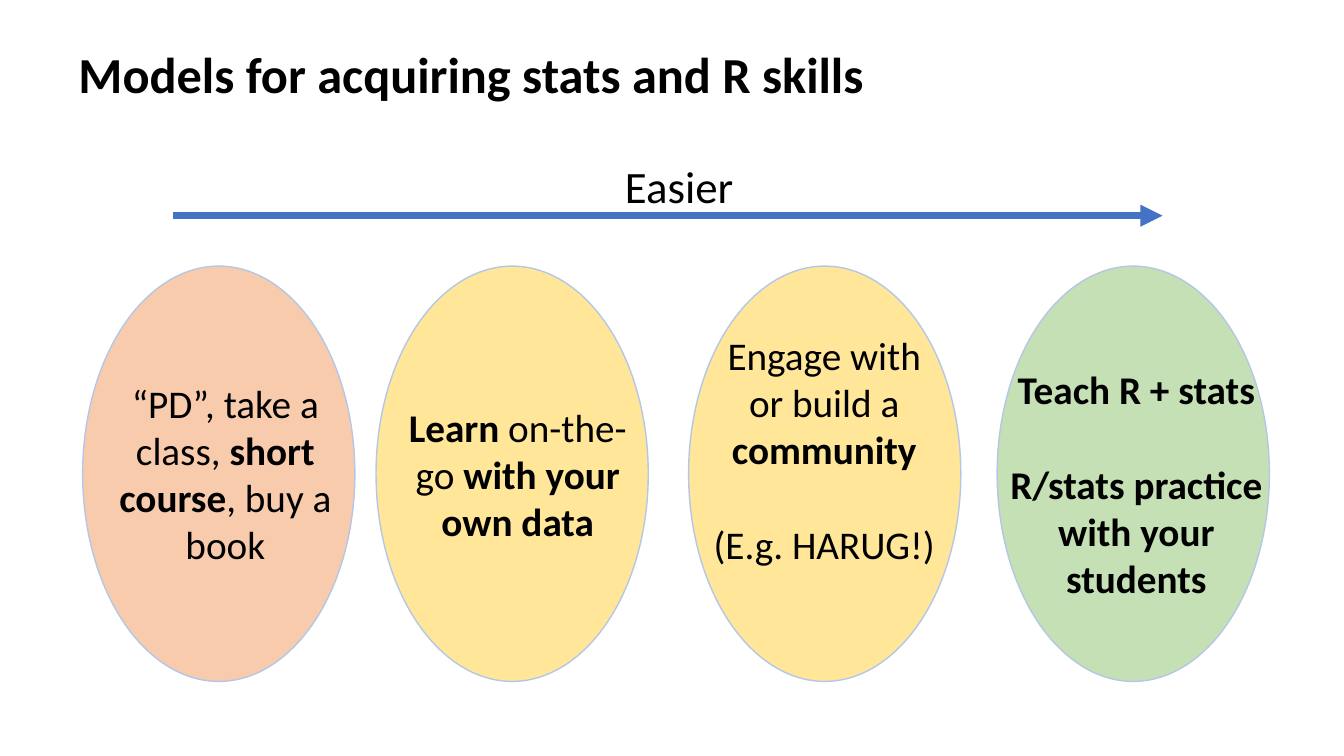
from lxml import etree
from pptx import Presentation
from pptx.dml.color import RGBColor
from pptx.enum.shapes import MSO_CONNECTOR, MSO_SHAPE
from pptx.enum.text import PP_ALIGN
from pptx.oxml.ns import qn
from pptx.util import Pt

PX = 9144  # 100 px to the inch
STRAIGHT, OVAL = MSO_CONNECTOR.STRAIGHT, MSO_SHAPE.OVAL
LEFT, CENTER = PP_ALIGN.LEFT, PP_ALIGN.CENTER


def color(hex_text):
    return RGBColor.from_string(hex_text)


def add_text(text, box, size=28, align=CENTER, wrap=True, gap=34):
    """Lines become paragraphs, ** toggles bold, a leading ^ puts a gap above."""
    frame = slide.shapes.add_textbox(*(n * PX for n in box)).text_frame
    frame.word_wrap = wrap
    for index, line in enumerate(text.split("\n")):
        paragraph = frame.paragraphs[0] if index == 0 else frame.add_paragraph()
        paragraph.alignment = align
        if line.startswith("^"):
            paragraph.space_before = Pt(gap)
        for part, words in enumerate(line.lstrip("^").split("**")):
            if words:
                run = paragraph.add_run()
                run.text = words
                run.font.name = "Calibri"
                run.font.size = Pt(size)
                run.font.bold = part % 2 == 1
                run.font.color.rgb = color("000000")


deck = Presentation()
deck.slide_width, deck.slide_height = 1333 * PX, 750 * PX
slide = deck.slides.add_slide(deck.slide_layouts[6])

# Title
add_text("**Models for acquiring stats and R skills**", (68, 38, 831, 71),
         size=36, align=LEFT, wrap=False)

# Learning models: oval left, fill, text, text box
models = [
    (82, "F8CBAD", "“PD”, take a class, **short course**, buy a book",
     (92, 371, 263, 199)),
    (373, "FFE699", "**Learn** on-the-go **with your own data**",
     (382, 395, 263, 151)),
    (683, "FFE699", "Engage with\nor build a **community**\n^(E.g. HARUG!)",
     (686, 324, 263, 246)),
    (989, "C5E0B4",
     "**Teach R + stats**\n^**R/stats practice with your students**",
     (989, 358, 276, 246)),
]
for left, fill, text, text_box in models:
    model = slide.shapes.add_shape(OVAL, left * PX, 264 * PX, 270 * PX, 412 * PX)
    model.shadow.inherit = False
    model.fill.solid()
    model.fill.fore_color.rgb = color(fill)
    model.line.color.rgb = color("B4C7E7")
    model.line.width = Pt(1)
    add_text(text, text_box)

# Arrow of increasing ease
ease = slide.shapes.add_connector(STRAIGHT, 172 * PX, 214 * PX, 1153 * PX, 214 * PX)
ease.line.color.rgb = color("4472C4")
ease.line.width = Pt(5.25)
etree.SubElement(ease.line._get_or_add_ln(), qn("a:tailEnd"), type="triangle")
etree.SubElement(ease._element.spPr, qn("a:effectLst"))
add_text("Easier", (610, 153, 129, 64), size=32, align=LEFT, wrap=False)

deck.save("out.pptx")
